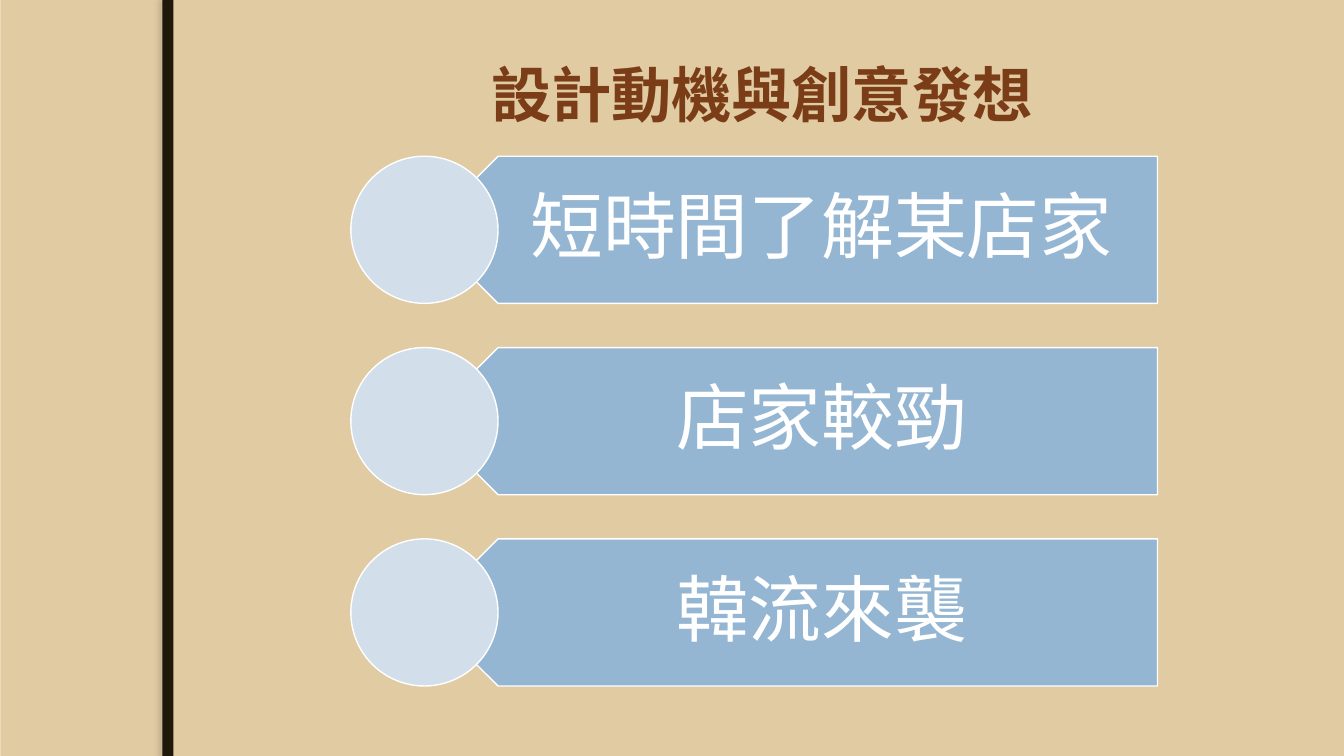
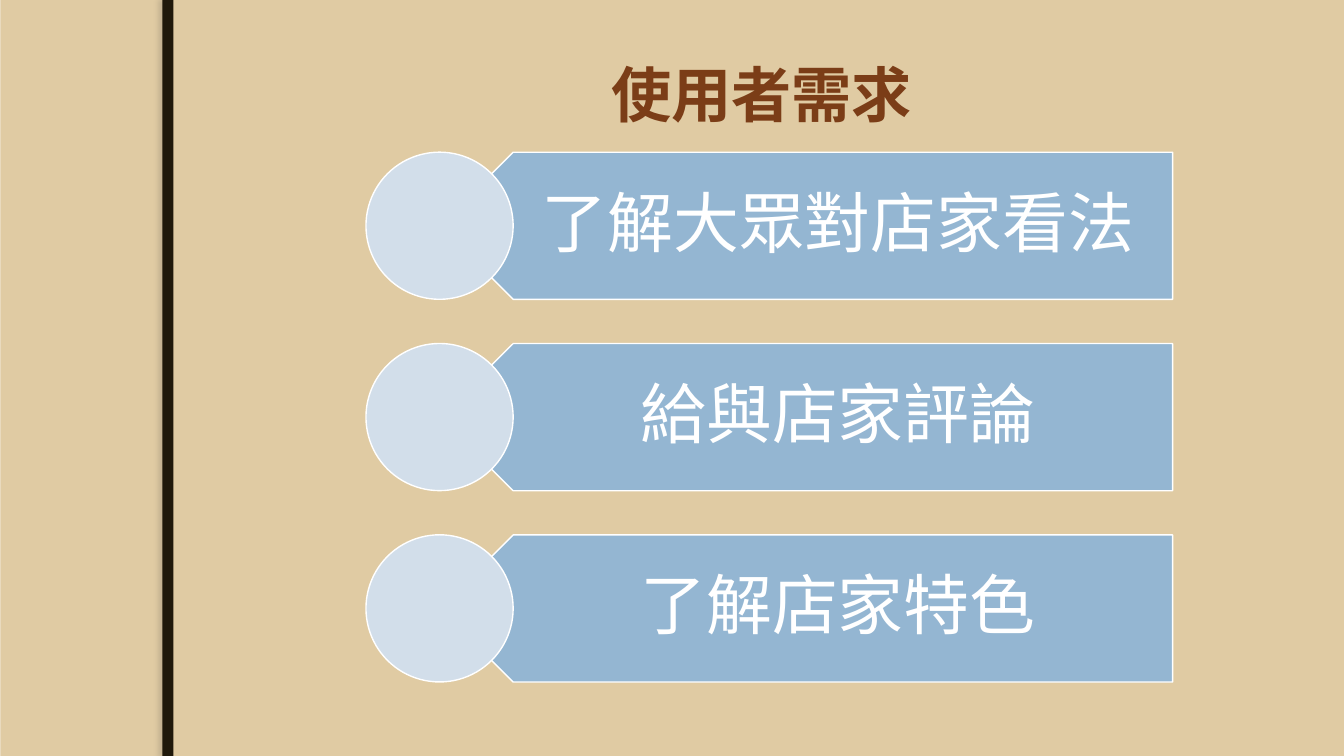
from dataclasses import dataclass

from lxml import etree
from pptx import Presentation
from pptx.dml.color import RGBColor as RGB
from pptx.enum.shapes import MSO_SHAPE as SHAPE
from pptx.enum.text import MSO_ANCHOR as ANCHOR, PP_ALIGN as ALIGN
from pptx.oxml import parse_xml
from pptx.oxml.ns import nsdecls, qn
from pptx.util import Inches, Pt

# Content: title, top-left of the list, text size, vertical and right insets, items
SLIDES = [
    dict(title="設計動機與創意發想", origin=(3.48, 1.55), size=52, inset=(0.22, 0.4),
         items=["短時間了解某店家", "店家較勁", "韓流來襲"]),
    dict(title="使用者需求", origin=(3.63, 1.51), size=47, inset=(0.2, 0.37),
         items=["了解大眾對店家看法", "給與店家評論", "了解店家特色"]),
]


@dataclass(frozen=True)
class Theme:
    back: str = "EBDDC3"
    panel: str = "E0CBA3"
    stripe: str = "20190B"
    shade: str = "766E60"
    title: str = "7B3D17"
    banner: str = "94B6D2"
    disc: str = "D2DEEA"
    white: str = "FFFFFF"
    title_size: int = 43
    title_font: str = "Noto Sans CJK TC"
    item_font: str = "TeX Gyre Adventor"
    asian_font: str = "Noto Sans CJK TC"


T = Theme()
WIDTH, HEIGHT = 13.33, 7.5
TITLE_BOX = (2.09, 0.3, 10.93, 1.25)
DISC = 1.46            # disc diameter and banner height
PITCH = DISC * 1.3     # distance between rows
BANNER = 7.27          # banner width
TEXT_LEFT = 0.64       # text inset beside the disc


def place(s, left, top, width, height):
    s.left, s.top = Inches(left), Inches(top)
    s.width, s.height = Inches(width), Inches(height)


def add_block(slide, kind, box, fill, line=None):
    s = slide.shapes.add_shape(kind, *map(Inches, box))
    s.shadow.inherit = False
    s.fill.solid()
    s.fill.fore_color.rgb = RGB.from_string(fill)
    if line:
        s.line.color.rgb = RGB.from_string(line)
        s.line.width = Pt(1)
    else:
        s.line.fill.background()
    return s


def write(tf, text, font, size, color, bold=False):
    tf.word_wrap = True
    tf.vertical_anchor = ANCHOR.MIDDLE
    p = tf.paragraphs[0]
    p.alignment = ALIGN.CENTER
    r = p.add_run()
    r.text = text
    r.font.name, r.font.size, r.font.bold = font, Pt(size), bold
    r.font.color.rgb = RGB.from_string(color)
    latin = r.font._element.find(qn("a:latin"))
    east = etree.Element(qn("a:ea"), typeface=T.asian_font)
    latin.addnext(east)
    return p


def style_master(prs, layout, slide):
    """Give the master its background, panel and stripe, and the layout its title box."""
    master = prs.slide_master
    master.background.fill.solid()
    master.background.fill.fore_color.rgb = RGB.from_string(T.back)
    panel = add_block(slide, SHAPE.RECTANGLE, (0.01, 0, WIDTH, HEIGHT), T.panel)
    stripe = add_block(slide, SHAPE.RECTANGLE, (1.61, 0, 0.11, HEIGHT), T.stripe)
    stripe._element.spPr.find(qn("a:effectLst")).append(parse_xml(
        f'<a:outerShdw {nsdecls("a")} blurRad="{Pt(3)}" dist="{Pt(3)}" dir="10800000">'
        f'<a:srgbClr val="{T.shade}"><a:alpha val="25000"/></a:srgbClr></a:outerShdw>'))
    for depth, s in enumerate((panel, stripe), start=2):
        master.shapes._spTree.insert(depth, s._element)
    place(layout.placeholders[0], *TITLE_BOX)


def add_row(slide, left, top, text, size, inset):
    middle = left + DISC / 2
    banner = add_block(slide, SHAPE.PENTAGON, (middle, top, BANNER, DISC), T.banner, T.white)
    banner.rotation = 180
    text_left = left + DISC * 0.75
    box = (text_left, top, middle + BANNER - text_left, DISC)
    tf = slide.shapes.add_textbox(*map(Inches, box)).text_frame
    vertical, right = inset
    tf.margin_left, tf.margin_right = Inches(TEXT_LEFT), Inches(right)
    tf.margin_top = tf.margin_bottom = Inches(vertical)
    write(tf, text, T.item_font, size, T.white).line_spacing = 0.9
    add_block(slide, SHAPE.OVAL, (left, top, DISC, DISC), T.disc, T.white)


def main():
    prs = Presentation()
    prs.slide_width, prs.slide_height = Inches(WIDTH), Inches(HEIGHT)
    layout = prs.slide_layouts[5]
    for n, data in enumerate(SLIDES):
        slide = prs.slides.add_slide(layout)
        if n == 0:
            style_master(prs, layout, slide)
        title = slide.shapes.title
        place(title, *TITLE_BOX)
        write(title.text_frame, data["title"], T.title_font, T.title_size, T.title, True)
        left, top = data["origin"]
        for row, text in enumerate(data["items"]):
            add_row(slide, left, top + row * PITCH, text, data["size"], data["inset"])
    prs.save("out.pptx")


if __name__ == "__main__":
    main()
